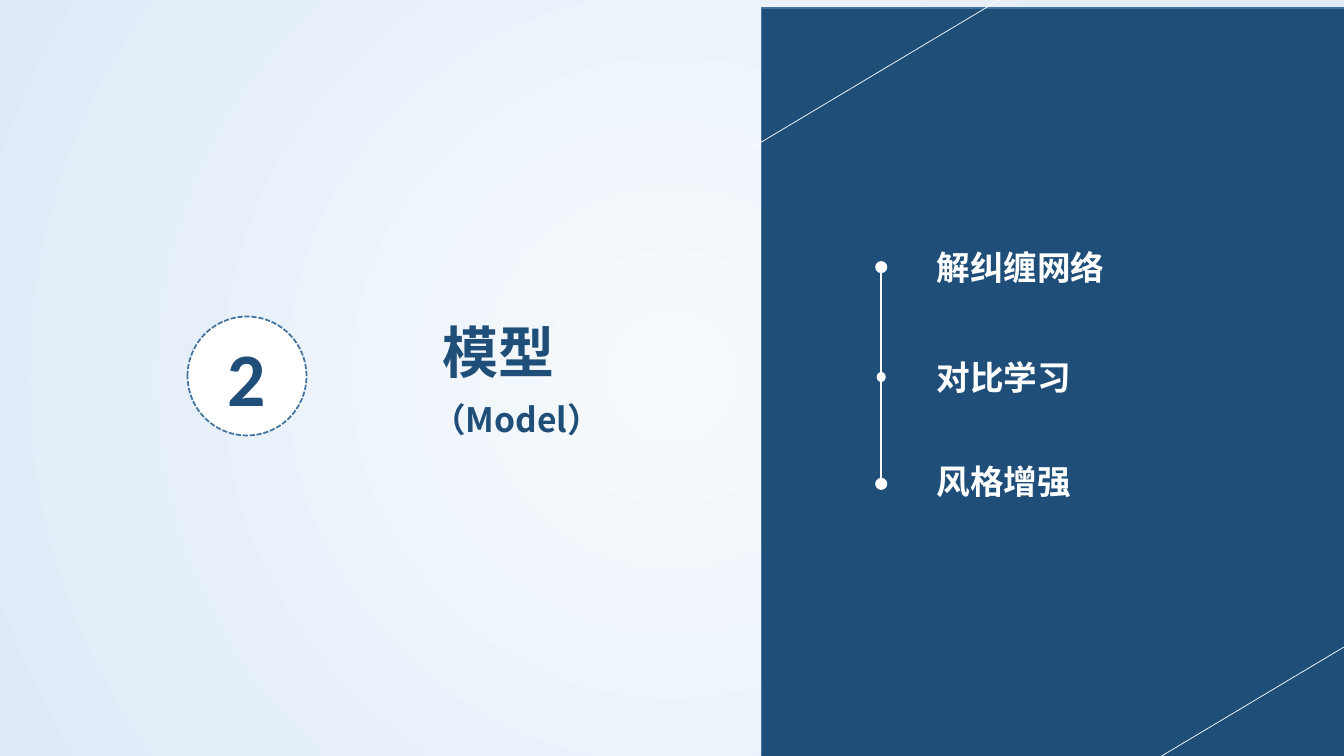
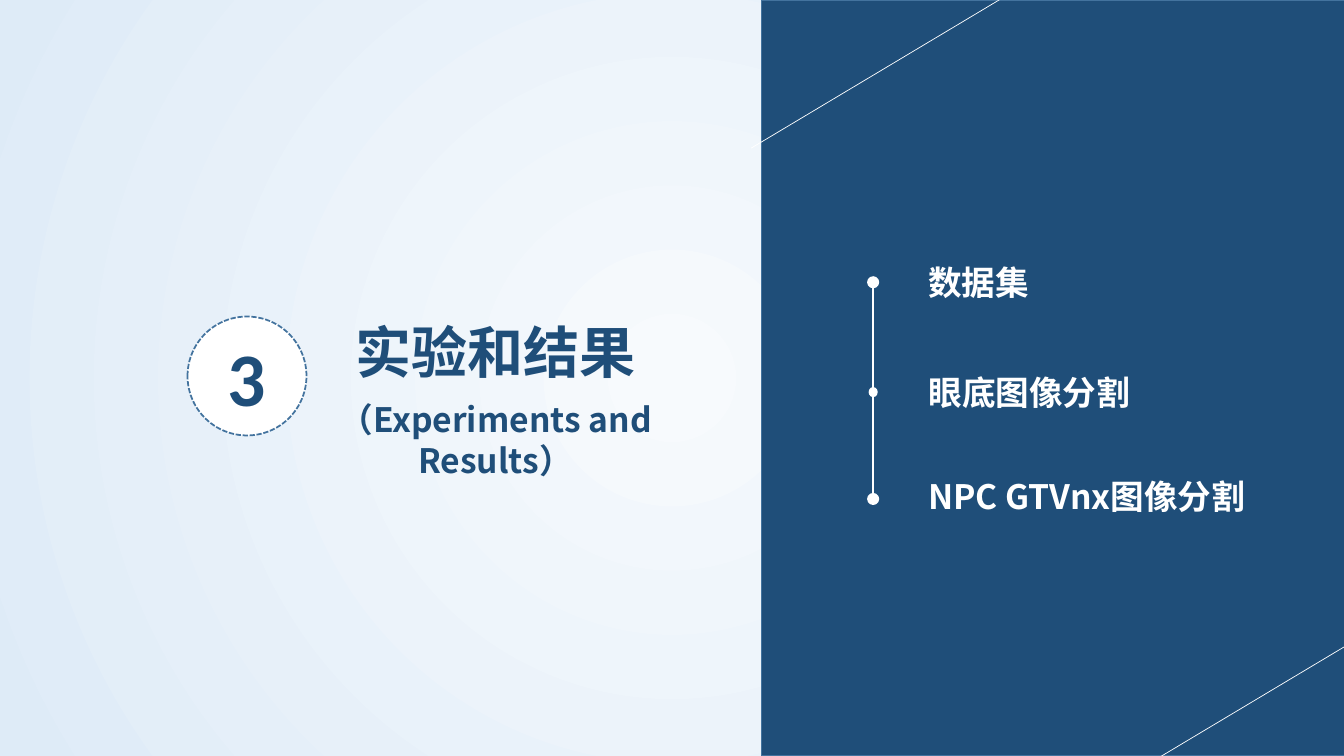
from lxml import etree
from pptx import Presentation
from pptx import util as u
from pptx.dml.color import RGBColor
from pptx.enum import dml, shapes, text
from pptx.oxml.ns import qn

PX = 9144
WIDE, HIGH = 1333, 750
NAVY, EDGE, WHITE = "1F4E79", "43739E", "FFFFFF"
GLOW, MIST = "F7FAFD", "DEEBF7"
HAN, LATIN = "Noto Sans CJK SC", "Calibri"
DOTS = ((0, 12, 12), (109, 9, 10), (215, 12, 12))
LABELS = (0, 109, 212)
SLANTS = ((1036, -27, 745, 147), (1398, 603, 1107, 777))

SECTIONS = (
    dict(num="2", title=("模型", 319, 351), sub=("（Model）", 356, 313, 50),
         top=8, axis=(874, 265),
         items=(("解纠缠网络", 196), ("对比学习", 296), ("风格增强", 196))),
    dict(num="3", title=("实验和结果", 316, 351),
         sub=("（Experiments and Results）", 284, 415, 91),
         top=0, axis=(866, 280),
         items=(("数据集", 196), ("眼底图像分割", 245),
                ("NPC GTVnx图像分割", 363))),
)


def px(*vals):
    """Turn px lengths into EMU."""
    return [u.Emu(round(v * PX)) for v in vals]


def rgb(code):
    """Turn a hex string into a colour."""
    return RGBColor.from_string(code)


def style(frame, words, size, color, font=HAN, align=text.PP_ALIGN.LEFT):
    """Write bold words into a text frame."""
    frame.text = words
    para = frame.paragraphs[0]
    para.alignment = align
    for run in para.runs:
        run.font.size = u.Pt(size)
        run.font.bold = True
        run.font.color.rgb = rgb(color)
        run.font.name = font
        props = run.font._element
        etree.SubElement(props, qn("a:ea")).set("typeface", font)


def label(slide, words, box, size, color, align=text.PP_ALIGN.LEFT):
    """Add a wrapped text box."""
    frame = slide.shapes.add_textbox(*px(*box)).text_frame
    frame.word_wrap = True
    frame.auto_size = text.MSO_AUTO_SIZE.SHAPE_TO_FIT_TEXT
    style(frame, words, size, color, align=align)


def shape(slide, kind, box, fill, edge=None, width=1):
    """Add a flat filled shape with an optional outline."""
    item = slide.shapes.add_shape(kind, *px(*box))
    item.shadow.inherit = False
    item.fill.solid()
    item.fill.fore_color.rgb = rgb(fill)
    if edge:
        item.line.color.rgb = rgb(edge)
        item.line.width = u.Pt(width)
    else:
        item.line.fill.background()
    return item


def line(slide, ends, width):
    """Add a straight white line."""
    item = slide.shapes.add_connector(shapes.MSO_CONNECTOR.STRAIGHT, *px(*ends))
    item.line.color.rgb = rgb(WHITE)
    item.line.width = u.Pt(width)
    etree.SubElement(item._element.spPr, qn("a:effectLst"))


def backdrop(master):
    """Give the master a round gradient from the centre outwards."""
    fill = master.background.fill
    fill.gradient()
    for stop, code in zip(fill.gradient_stops, (GLOW, MIST)):
        stop.color.rgb = rgb(code)
    grad = master.element.find(".//" + qn("p:bgPr") + "/" + qn("a:gradFill"))
    lin = grad.find(qn("a:lin"))
    ring = etree.Element(qn("a:path"))
    ring.set("path", "circle")
    focus = etree.SubElement(ring, qn("a:fillToRect"))
    for side in "ltrb":
        focus.set(side, "50000")
    grad.replace(lin, ring)


def badge(slide, num):
    """Add the dashed circle with the section number."""
    disc = shape(slide, shapes.MSO_SHAPE.OVAL, (186, 314, 118, 118),
                 WHITE, EDGE, 1.25)
    disc.line.dash_style = dml.MSO_LINE.SQUARE_DOT
    disc.text_frame.vertical_anchor = text.MSO_ANCHOR.MIDDLE
    style(disc.text_frame, num, 54, NAVY, LATIN, text.PP_ALIGN.CENTER)


def heading(slide, title, sub):
    """Add the section title and its English name."""
    words, left, width = title
    label(slide, words, (left, 310, width, 77), 40, NAVY, text.PP_ALIGN.CENTER)
    words, left, width, height = sub
    label(slide, words, (left, 391, width, height), 24, NAVY,
          text.PP_ALIGN.CENTER)


def panel(slide, top):
    """Add the dark panel with its slanted lines."""
    shape(slide, shapes.MSO_SHAPE.RECTANGLE, (755, top, 579, HIGH), NAVY, EDGE)
    for ends in SLANTS:
        line(slide, ends, 0.5)


def outline(slide, axis, items):
    """Add the dotted axis and its topic labels."""
    x, y = axis
    for (start, *_), (stop, *_) in zip(DOTS, DOTS[1:]):
        line(slide, (x, y + start, x, y + stop), 1)
    for (step, w, h), drop, (words, width) in zip(DOTS, LABELS, items):
        shape(slide, shapes.MSO_SHAPE.OVAL,
              (x - w / 2, y + step - h / 2, w, h), WHITE)
        label(slide, words, (x + 45, y + drop - 25, width, 50), 24, WHITE)


def main():
    """Build and save the section slides."""
    deck = Presentation()
    deck.slide_width, deck.slide_height = px(WIDE, HIGH)
    backdrop(deck.slide_master)
    for part in SECTIONS:
        slide = deck.slides.add_slide(deck.slide_layouts[6])
        badge(slide, part["num"])
        heading(slide, part["title"], part["sub"])
        panel(slide, part["top"])
        outline(slide, part["axis"], part["items"])
    deck.save("out.pptx")


if __name__ == "__main__":
    main()
